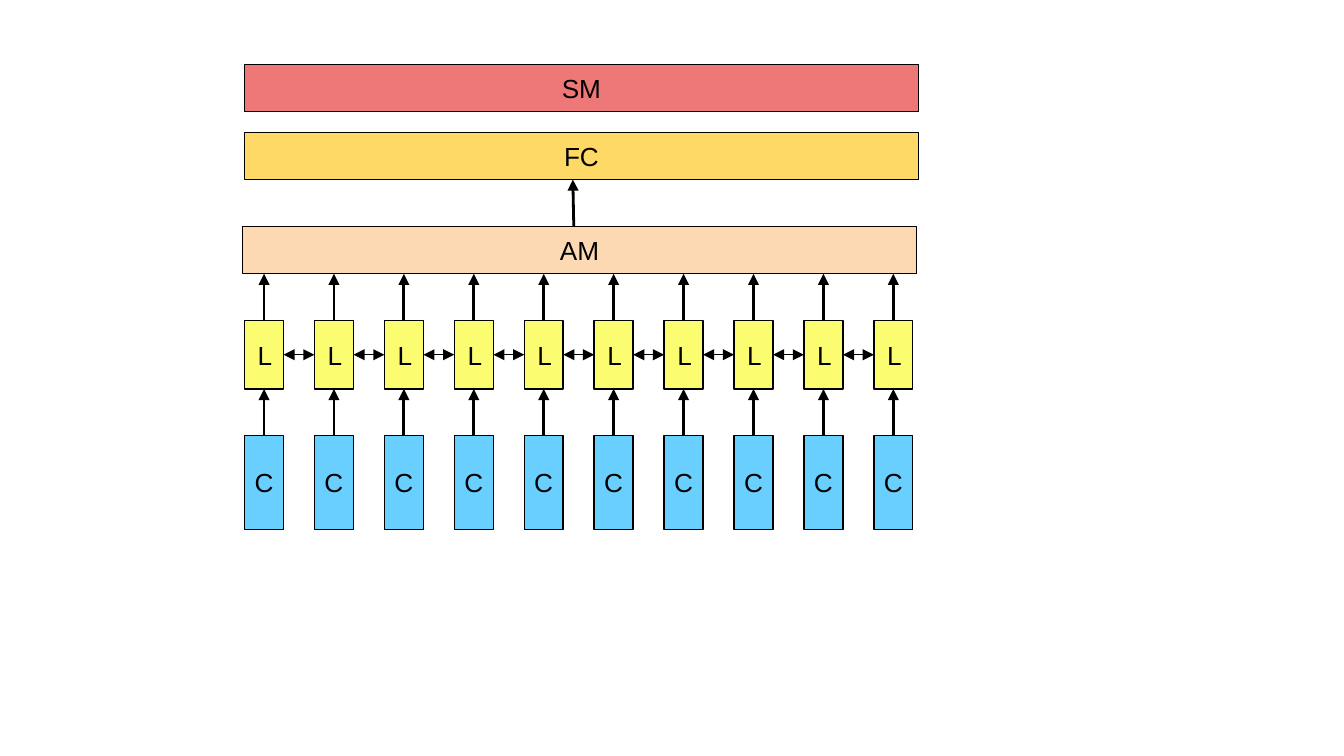
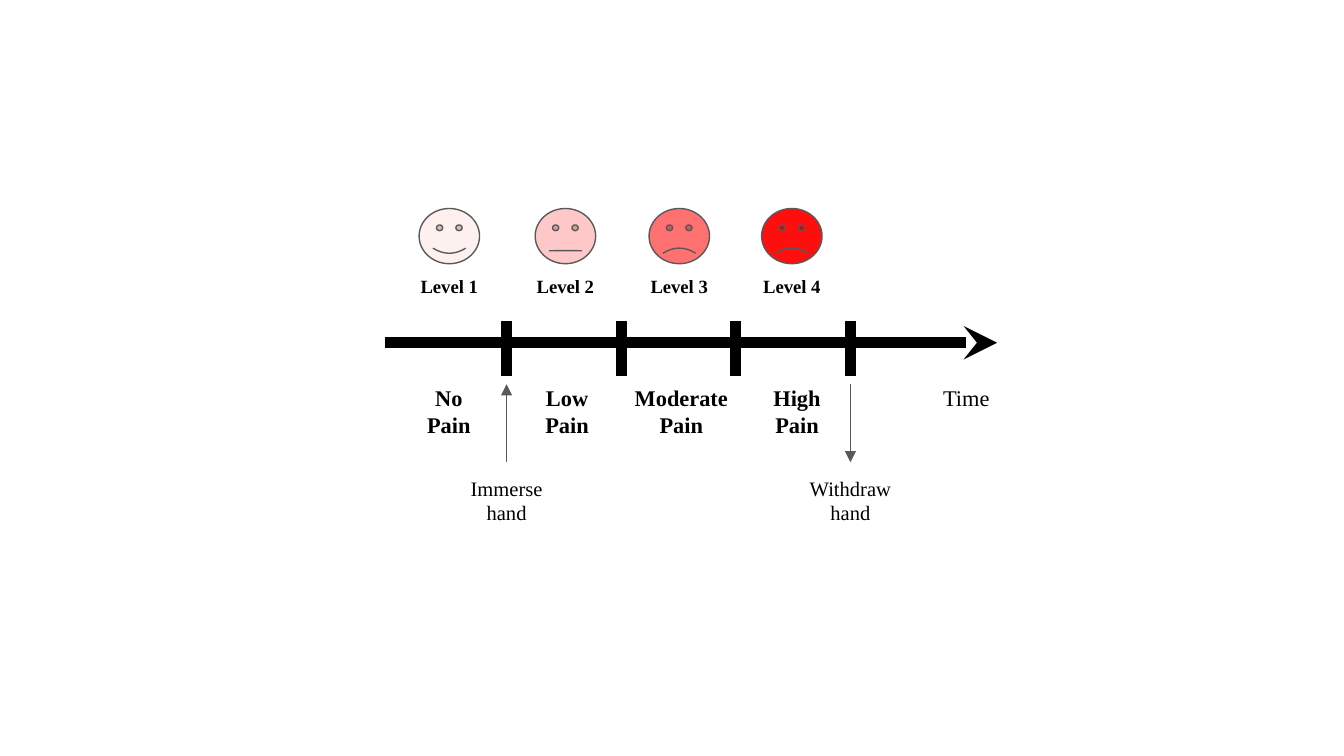
from dataclasses import dataclass

from pptx import Presentation
from pptx.dml.color import RGBColor
from pptx.enum.shapes import MSO_CONNECTOR, MSO_SHAPE
from pptx.enum.text import MSO_ANCHOR, PP_ALIGN
from pptx.oxml.ns import qn
from pptx.util import Pt
from lxml.etree import SubElement


@dataclass(frozen=True)
class Theme:
    sans: str = "Arial"
    serif: str = "Times New Roman"
    ink: str = "000000"
    grey: str = "595959"
    softmax: str = "EE7878"
    dense: str = "FFD966"
    attention: str = "FDD9B3"
    lstm: str = "FCFC71"
    conv: str = "69CFFF"
    faces: tuple = ("FFF0F0", "FFC8C8", "FF7070", "FF0E0E")
    block_size: int = 14
    pain_size: int = 12
    action_size: int = 11
    level_size: int = 10
    thin: float = 0.75
    medium: float = 1.5
    thick: float = 6
    inset: float = 7.2


T = Theme()
BLOCK_FONT = dict(size=Pt(T.block_size), name=T.sans)


# Element helpers: all lengths are points
def write(shape, lines, font, align=PP_ALIGN.CENTER, anchor=MSO_ANCHOR.TOP):
    tf = shape.text_frame
    frame = dict(word_wrap=True, vertical_anchor=anchor)
    for side in ("left", "right", "top", "bottom"):
        frame[f"margin_{side}"] = Pt(T.inset)
    for key, value in frame.items():
        setattr(tf, key, value)
    for i, line in enumerate(lines):
        p = tf.paragraphs[0] if i == 0 else tf.add_paragraph()
        p.alignment = align
        r = p.add_run()
        r.text = line
        for key, value in font.items():
            setattr(r.font, key, value)
        r.font.color.rgb = RGBColor.from_string(T.ink)


def add_text(s, x, y, w, h, lines, font, align=PP_ALIGN.CENTER):
    box = s.shapes.add_textbox(Pt(x), Pt(y), Pt(w), Pt(h))
    write(box, lines, font, align)


def add_shape(s, kind, x, y, w, h, fill, line=T.ink):
    shape = s.shapes.add_shape(kind, Pt(x), Pt(y), Pt(w), Pt(h))
    shape.shadow.inherit = False
    shape.fill.solid()
    shape.fill.fore_color.rgb = RGBColor.from_string(fill)
    shape.line.color.rgb = RGBColor.from_string(line)
    shape.line.width = Pt(T.thin)
    return shape


def add_block(s, x, y, w, h, fill, label=None, align=PP_ALIGN.CENTER):
    block = add_shape(s, MSO_SHAPE.RECTANGLE, x, y, w, h, fill)
    if label:
        write(block, [label], BLOCK_FONT, align, MSO_ANCHOR.MIDDLE)


def add_line(s, x1, y1, x2, y2, width, color=T.ink, head=None, tail=None):
    line = s.shapes.add_connector(MSO_CONNECTOR.STRAIGHT, Pt(x1), Pt(y1), Pt(x2), Pt(y2))
    line.line.color.rgb = RGBColor.from_string(color)
    line.line.width = Pt(width)
    ln = line.line._get_or_add_ln()
    for tag, kind in (("a:headEnd", head), ("a:tailEnd", tail)):
        if kind:
            SubElement(ln, qn(tag), type=kind)
    SubElement(line._element.spPr, qn("a:effectLst"))


def network_slide(s):
    left, pitch, columns = 131, 37.46, 10
    cell_w, lstm_h, conv_h = 20.9, 36.7, 50.4
    bar_w, bar_h = 361, 25.2
    softmax_y, dense_y, attention_y, lstm_y, conv_y = 34.6, 71, 121.5, 171.7, 233.3

    # Full-width layers
    for x, y, fill, label in ((left, softmax_y, T.softmax, "SM"),
                              (left, dense_y, T.dense, "FC"),
                              (left - 1, attention_y, T.attention, "AM")):
        add_block(s, x, y, bar_w, bar_h, fill, label)
    add_line(s, 307.4, attention_y, 306.9, dense_y + bar_h, T.medium, tail="triangle")

    # One cell of each kind per column, linked upwards and to the next column
    for i in range(columns):
        x = left + i * pitch
        mid = x + cell_w / 2
        add_block(s, x, lstm_y, cell_w, lstm_h, T.lstm, "L", PP_ALIGN.LEFT)
        add_block(s, x, conv_y, cell_w, conv_h, T.conv)
        add_text(s, mid - pitch / 2, 242.6, pitch, 32.4, ["C"], BLOCK_FONT)
        add_line(s, mid, lstm_y, mid, attention_y + bar_h, T.medium, tail="triangle")
        add_line(s, mid, conv_y, mid, lstm_y + lstm_h, T.medium, tail="triangle")
        if i < columns - 1:
            y = lstm_y + lstm_h / 2
            add_line(s, x + cell_w, y, x + pitch, y, T.thin,
                     head="triangle", tail="triangle")


def pain_slide(s):
    level_font = dict(size=Pt(T.level_size), name=T.serif, bold=True)
    pain_font = dict(size=Pt(T.pain_size), name=T.serif, bold=True)
    time_font = dict(size=Pt(T.pain_size), name=T.serif)
    action_font = dict(size=Pt(T.action_size), name=T.serif)
    ticks = [271.4 + i * 61.4 for i in range(4)]

    # Time axis
    add_line(s, 206, 183.6, 534.2, 183.6, T.thick, tail="stealth")
    for x in ticks:
        add_line(s, x, 172, x, 201.6, T.thick)
    add_text(s, 498.2, 198.7, 50.4, 29.5, ["Time"], time_font, PP_ALIGN.LEFT)

    # Levels: face centre, pain centre, pain box width, wording, mouth curve
    levels = ((240.7, 240.5, 43.2, "No Pain", 0.047),
              (302.9, 303.8, 43.2, "Low Pain", -0.001),
              (363.9, 365, 66.2, "Moderate Pain", -0.047),
              (424.2, 427, 43.2, "High Pain", -0.047))
    for i, (face_x, pain_x, pain_w, pain, mouth) in enumerate(levels):
        face = add_shape(s, MSO_SHAPE.SMILEY_FACE, face_x - 16.2, 111.7, 32.4, 29.6,
                         T.faces[i], T.grey)
        face.adjustments[0] = mouth
        add_text(s, face_x - 31.3, 141.1, 62.6, 27.4, [f"Level {i + 1}"], level_font)
        add_text(s, pain_x - pain_w / 2, 198.7, pain_w, 36, [pain], pain_font)

    # Hand actions at the first and last tick
    for x, verb, ends in ((ticks[0], "Immerse", dict(head="triangle")),
                          (ticks[-1], "Withdraw", dict(tail="triangle"))):
        add_line(s, x, 205.9, x, 247.7, T.thin, T.grey, **ends)
        add_text(s, x - 31.7, 247.7, 63.4, 30.2, [verb, "hand"], action_font)


def main():
    prs = Presentation()
    prs.slide_width, prs.slide_height = Pt(720), Pt(405)
    for build in (network_slide, pain_slide):
        build(prs.slides.add_slide(prs.slide_layouts[6]))
    prs.save("out.pptx")


if __name__ == "__main__":
    main()
